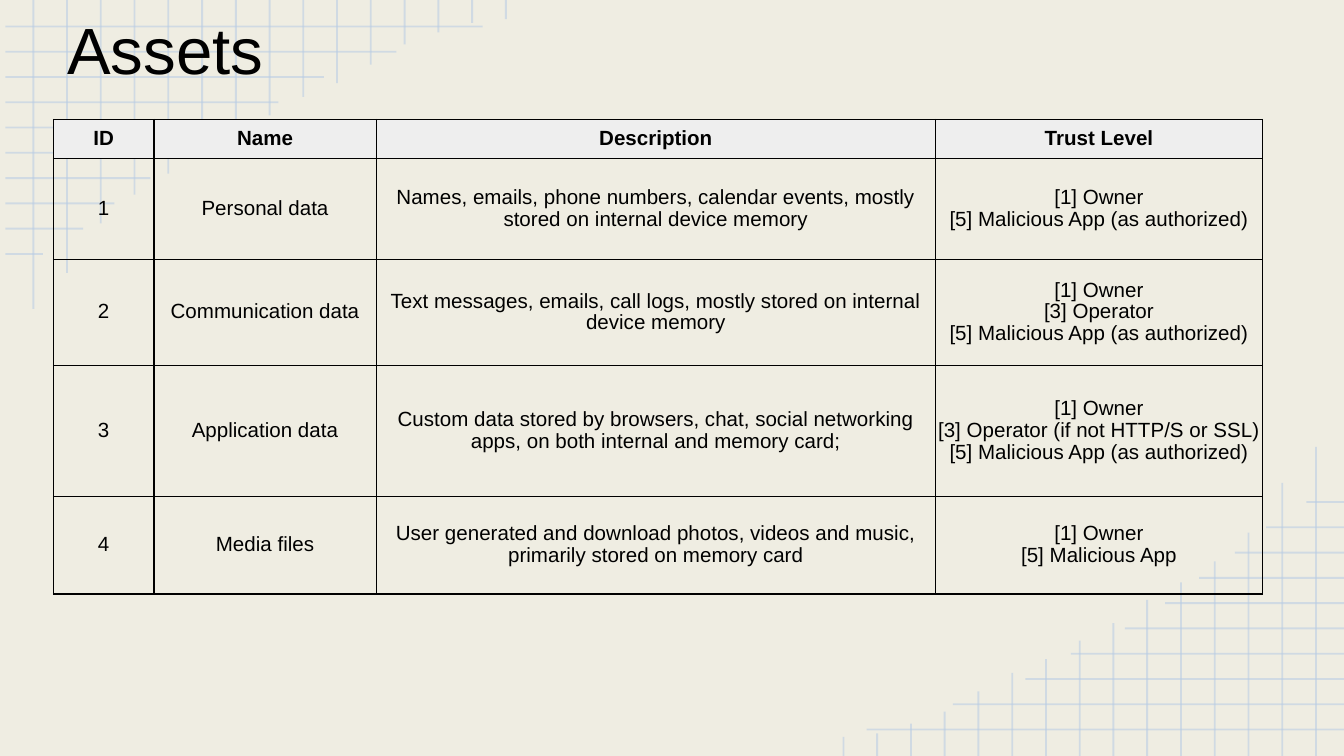
from dataclasses import dataclass

from lxml import etree
from pptx import Presentation
from pptx.dml.color import RGBColor
from pptx.enum.shapes import MSO_CONNECTOR
from pptx.enum.text import MSO_ANCHOR, MSO_AUTO_SIZE, PP_ALIGN
from pptx.oxml import parse_xml
from pptx.oxml.ns import nsdecls, qn
from pptx.slide import Slide
from pptx.table import _Cell
from pptx.text.text import TextFrame
from pptx.util import Cm, Pt

STRAIGHT = MSO_CONNECTOR.STRAIGHT
LEFT, CENTER = PP_ALIGN.LEFT, PP_ALIGN.CENTER
TOP, MIDDLE = MSO_ANCHOR.TOP, MSO_ANCHOR.MIDDLE
NO_FIT = MSO_AUTO_SIZE.NONE

BACKGROUND, GRID, HEADER, BLACK = "EFEDE2", "B7CCE4", "EEEEEE", "000000"
SLIDE_W, SLIDE_H = 25.4, 14.29
GRID_LEFT = 0.1
ROW_FIRST, ROW_LAST = 0.5, 4.8
COL_FIRST, COL_LAST = 0.63, 9.56
ROW_ENDS = [9.12, 7.49, 6.12, 5.26, 4.24, 3.48, 2.84, 2.16, 1.57, 0.81]
COL_ENDS = [5.84, 5.16, 4.22, 3.68, 3.28, 2.95, 2.51, 2.18,
            1.83, 1.57, 1.22, 0.84, 0.61, 0.43, 0.36]

TITLE_FONT = {"name": "Arial", "size": Pt(35), "bold": False}
HEADER_FONT = {"name": "Arial", "size": Pt(11), "bold": True}
BODY_FONT = {**HEADER_FONT, "bold": False}
MARGINS = ("margin_left", "margin_top", "margin_right", "margin_bottom")

COL_WIDTHS = [1.9, 4.2, 10.57, 6.18]


@dataclass
class GridLine:
    x1: float
    y1: float
    x2: float
    y2: float

    def turned(self) -> "GridLine":
        w, h = SLIDE_W + GRID_LEFT, SLIDE_H
        return GridLine(w - self.x1, h - self.y1, w - self.x2, h - self.y2)


@dataclass
class Row:
    height: float
    texts: tuple[str, str, str, str]


ROWS = [
    Row(0.74, ("ID", "Name", "Description", "Trust Level")),
    Row(1.9, ("1", "Personal data",
              "Names, emails, phone numbers, calendar events, mostly stored on internal device memory",
              "[1] Owner\n[5] Malicious App (as authorized)")),
    Row(2.01, ("2", "Communication data",
               "Text messages, emails, call logs, mostly stored on internal device memory",
               "[1] Owner\n[3] Operator\n[5] Malicious App (as authorized)")),
    Row(2.47, ("3", "Application data",
               "Custom data stored by browsers, chat, social networking apps, "
               "on both internal and memory card;",
               "[1] Owner\n[3] Operator (if not HTTP/S or SSL)\n[5] Malicious App (as authorized)")),
    Row(1.85, ("4", "Media files",
               "User generated and download photos, videos and music, primarily stored on memory card",
               "[1] Owner\n[5] Malicious App")),
]


def rgb(color: str) -> RGBColor:
    return RGBColor.from_string(color)


def spread(first: float, last: float, count: int) -> list[float]:
    return [first + (last - first) * i / (count - 1) for i in range(count)]


def grid_lines() -> list[GridLine]:
    ys = spread(ROW_FIRST, ROW_LAST, len(ROW_ENDS))
    xs = spread(COL_FIRST, COL_LAST, len(COL_ENDS))
    return ([GridLine(GRID_LEFT, y, end, y) for y, end in zip(ys, ROW_ENDS)]
            + [GridLine(x, end, x, 0) for x, end in zip(xs, COL_ENDS)])


def draw_grid(s: Slide, lines: list[GridLine]) -> None:
    group = s.shapes.add_group_shape()
    for ln in lines:
        c = group.shapes.add_connector(
            STRAIGHT, Cm(ln.x1), Cm(ln.y1), Cm(ln.x2), Cm(ln.y2))
        c.line.width = Pt(1)
        c.line.color.rgb = rgb(GRID)
        sp_pr = c._element.spPr
        fill = sp_pr.find(".//" + qn("a:srgbClr"))
        etree.SubElement(fill, qn("a:alpha"), val="54000")
        etree.SubElement(sp_pr, qn("a:effectLst"))


def write(tf: TextFrame, text: str, font: dict, align: PP_ALIGN) -> None:
    tf.text = text
    for p in tf.paragraphs:
        p.alignment = align
        p.line_spacing = 0.95
        p.space_before = Pt(0)
        for r in p.runs:
            for name, value in font.items():
                setattr(r.font, name, value)
            r.font.color.rgb = rgb(BLACK)


def add_borders(cell: _Cell) -> None:
    tc_pr = cell._tc.get_or_add_tcPr()
    for side in ("lnL", "lnR", "lnT", "lnB"):
        tc_pr.append(parse_xml(
            f'<a:{side} {nsdecls("a")} w="{Pt(0.75)}"><a:solidFill>'
            f'<a:srgbClr val="{BLACK}"/></a:solidFill></a:{side}>'))


def draw_title(s: Slide, text: str) -> None:
    sp = s.shapes.title
    sp.left, sp.top, sp.width, sp.height = Cm(1.27), Cm(0.28), Cm(20.32), Cm(2.82)
    tf = sp.text_frame
    tf.auto_size = NO_FIT
    tf.vertical_anchor = TOP
    for margin in MARGINS:
        setattr(tf, margin, 0)
    write(tf, text, TITLE_FONT, LEFT)
    s.shapes._spTree.append(sp._element)


def draw_table(s: Slide, rows: list[Row]) -> None:
    table = s.shapes.add_table(
        len(rows), len(COL_WIDTHS), Cm(1.01), Cm(2.26),
        Cm(sum(COL_WIDTHS)), Cm(sum(row.height for row in rows))).table
    table.first_row = table.horz_banding = False
    for col, width in zip(table.columns, COL_WIDTHS):
        col.width = Cm(width)
    for i, row in enumerate(rows):
        table.rows[i].height = Cm(row.height)
        for cell, text in zip(table.rows[i].cells, row.texts):
            for margin in MARGINS:
                setattr(cell, margin, 0)
            cell.vertical_anchor = MIDDLE
            add_borders(cell)
            if i == 0:
                cell.fill.solid()
                cell.fill.fore_color.rgb = rgb(HEADER)
            else:
                cell.fill.background()
            write(cell.text_frame, text, BODY_FONT if i else HEADER_FONT, CENTER)


def main() -> None:
    prs = Presentation()
    prs.slide_width, prs.slide_height = Cm(SLIDE_W), Cm(SLIDE_H)
    s = prs.slides.add_slide(prs.slide_layouts[5])
    s.background.fill.solid()
    s.background.fill.fore_color.rgb = rgb(BACKGROUND)
    lines = grid_lines()
    draw_grid(s, lines)
    draw_grid(s, [ln.turned() for ln in lines])
    draw_title(s, "Assets")
    draw_table(s, ROWS)
    prs.save("out.pptx")


if __name__ == "__main__":
    main()
